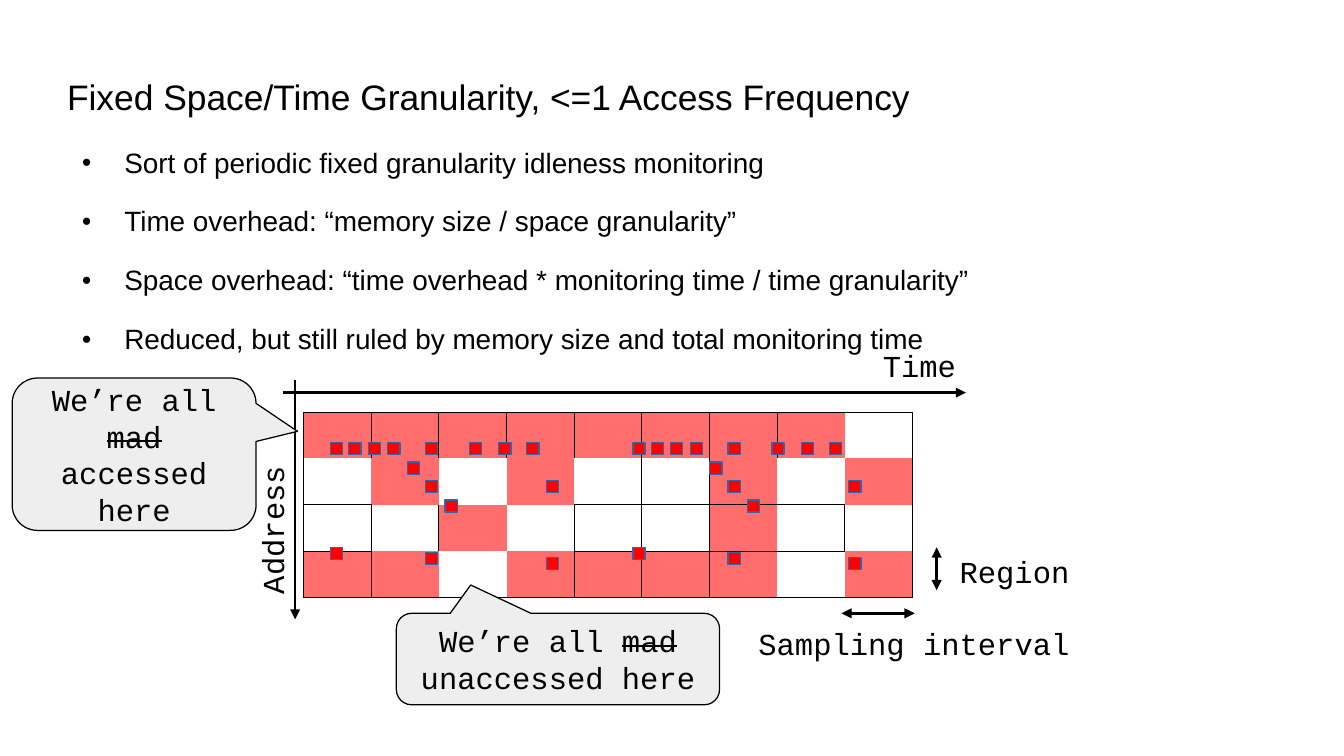
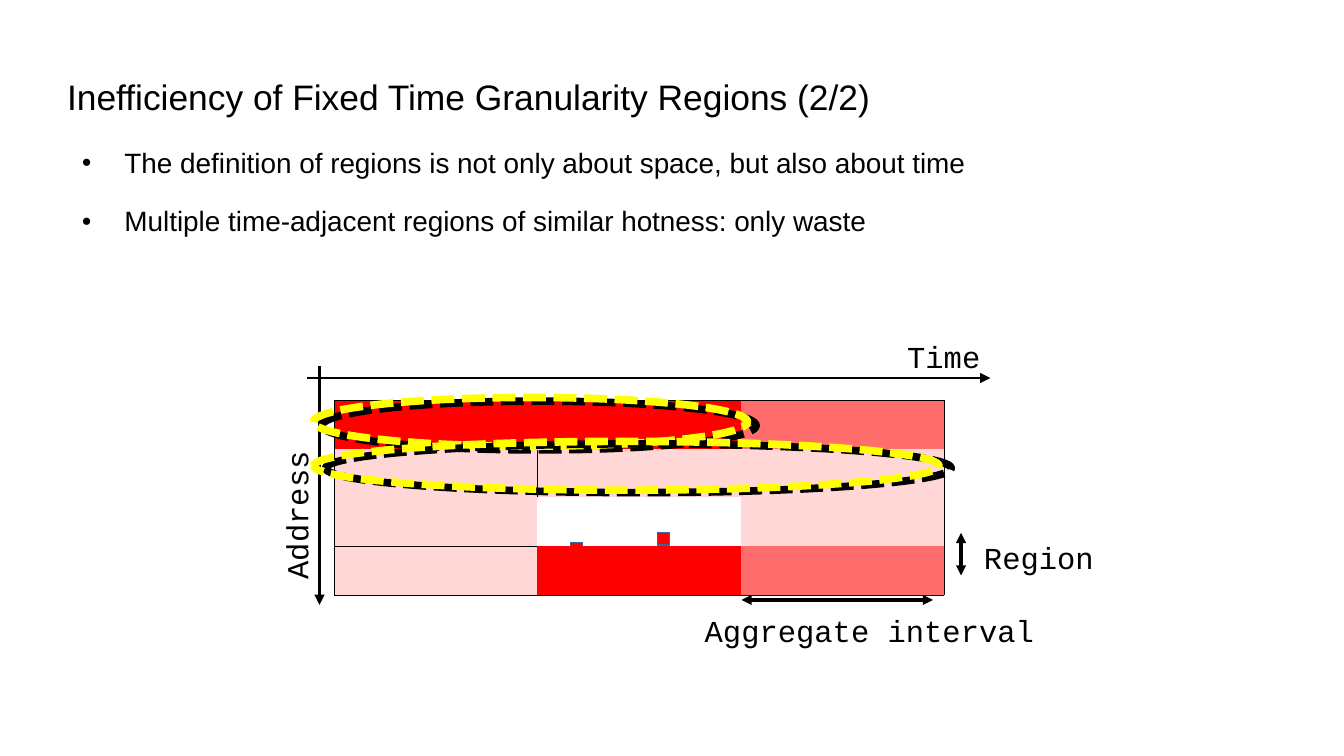
import pptx
import pptx.util
import pptx.dml.color
import pptx.enum.dml
import pptx.enum.shapes
import pptx.enum.text
import pptx.oxml
from lxml import etree

Inches, Pt = pptx.util.Inches, pptx.util.Pt
SHAPE = pptx.enum.shapes.MSO_SHAPE
ANCHOR = pptx.enum.text.MSO_ANCHOR
ALIGN = pptx.enum.text.PP_ALIGN
qn = pptx.oxml.ns.qn

# Shared colours and fonts
BLACK, RED, YELLOW, GREY, BLUE = "000000", "FF0000", "FFFF00", "EEEEEE", "3465A4"
HEAT = {"X": RED, "R": "FF6D6D", "P": "FFD7D7", ".": None}
SANS, MONO = "Arial", "Courier New"
BORDERS = {"l": "a:lnL", "r": "a:lnR", "t": "a:lnT", "b": "a:lnB"}

# Memory accesses (x, y); the pattern repeats once after PERIOD
PERIOD = 2.48
ACCESSES = [(x, 3.63) for x in (2.71, 2.86, 3.02, 3.18, 3.49, 3.85, 4.09, 4.32)]
ACCESSES += [(2.71, 4.49), (3.34, 3.79), (3.49, 3.94), (3.65, 4.1),
             (3.49, 4.53), (4.48, 4.57), (4.48, 3.94)]

# Slide contents; dx, dy move the diagram. A table cell is a heat letter
# followed by its border sides; a bare letter has all four sides.
SLIDES = [
    dict(title="Fixed Space/Time Granularity, <=1 Access Frequency",
         bullets=["Sort of periodic fixed granularity idleness monitoring",
                  "Time overhead: “memory size / space granularity”",
                  "Space overhead: “time overhead * monitoring time / time granularity”",
                  "Reduced, but still ruled by memory size and total monitoring time"],
         dx=0, dy=0, time_top=2.8, order=("table", "accesses"),
         interval=("Sampling interval", 6.12, 5.08, 2.75), span=(6.9, 7.5, 5.03),
         table=(2.49, 3.38, 4.99, 1.52),
         rows=["R R R R R R R R .tr",
               ".lb Rlrb .- Rlrb .rb .lb Rlrb .b R",
               ".ltr .l R .r .ltr .lt R .trb .lr",
               "R R .b R R Rltb R .tb R"],
         callouts=[("We’re all ~mad~ accessed here", (0.1, 3.1, 2, 1.25), (0.67, -0.15)),
                   ("We’re all ~mad~ unaccessed here", (3.25, 5.03, 2.65, 0.75), (-0.27, -0.81))],
         rings=[]),
    dict(title="Inefficiency of Fixed Time Granularity Regions (2/2)",
         bullets=["The definition of regions is not only about space, but also about time",
                  "Multiple time-adjacent regions of similar hotness: only waste"],
         dx=0.2, dy=-0.12, time_top=2.72, order=("accesses", "table"),
         interval=("Aggregate interval", 5.68, 4.97, 2.9), span=(6.08, 7.65, 4.92),
         table=(2.74, 3.28, 5, 1.6),
         rows=["X Xtb R", "Plrb Plrb Prb", "Plrb .- Plr", "P Xtrb Rtrb"],
         callouts=[],
         rings=[[(2.64, 3.29, 3.56, BLACK), (2.57, 3.26, 3.56, YELLOW)],
                [(2.67, 3.64, 5.13, BLACK), (2.57, 3.62, 5.13, YELLOW)]]),
]


def paint(fill, color):
    """Solid fill from a hex string, or no fill for None."""
    if color is None:
        fill.background()
    else:
        fill.solid()
        fill.fore_color.rgb = pptx.dml.color.RGBColor.from_string(color)


def text(tf, content, size=18, font=MONO, color=BLACK, align=ALIGN.LEFT,
         before=0, bullet=None):
    """Add a paragraph; parts between ~ marks are struck through."""
    p = tf.paragraphs[0]
    if p.runs:
        p = tf.add_paragraph()
    p.alignment, p.space_before = align, Pt(before)
    if bullet:
        pPr = p._p.get_or_add_pPr()
        pPr.set("marL", str(Inches(0.47)))
        pPr.set("indent", str(Inches(-0.35)))
        etree.SubElement(pPr, qn("a:buSzPct")).set("val", "60000")
        etree.SubElement(pPr, qn("a:buFont")).set("typeface", font)
        etree.SubElement(pPr, qn("a:buChar")).set("char", bullet)
    for i, part in enumerate(content.split("~")):
        r = p.add_run()
        r.text = part
        r.font.size, r.font.name = Pt(size), font
        paint(r.font.fill, color)
        if i % 2:
            r.font._element.set("strike", "sngStrike")


prs = pptx.Presentation()
prs.slide_width, prs.slide_height = Inches(11.02), Inches(6.2)

for d in SLIDES:
    s = prs.slides.add_slide(prs.slide_layouts[6])
    dx, dy = d["dx"], d["dy"]

    # Title and bullets
    for top, height, anchor, lines, fmt in (
            (0.54, 0.5, ANCHOR.MIDDLE, [d["title"]], dict(size=20.9)),
            (1.19, 4.36, ANCHOR.TOP, d["bullets"], dict(size=16.5, before=15, bullet="●"))):
        tf = s.shapes.add_textbox(Inches(0.55), Inches(top), Inches(9.92), Inches(height)).text_frame
        tf.word_wrap, tf.vertical_anchor = True, anchor
        tf.margin_left = tf.margin_right = tf.margin_top = tf.margin_bottom = 0
        for line in lines:
            text(tf, line, font=SANS, **fmt)

    # Axes and dimension arrows
    x1, x2, y = d["span"]
    for ax, ay, bx, by, width, ends in (
            (2.42 + dx, 3.12 + dy, 2.42 + dx, 5.08 + dy, 1.5, ["a:tailEnd"]),
            (2.32 + dx, 3.22 + dy, 7.92 + dx, 3.22 + dy, 1.5, ["a:tailEnd"]),
            (7.68 + dx, 4.49 + dy, 7.68 + dx, 4.84 + dy, 0, ["a:headEnd", "a:tailEnd"]),
            (x1, y, x2, y, 0, ["a:headEnd", "a:tailEnd"])):
        c = s.shapes.add_connector(pptx.enum.shapes.MSO_CONNECTOR.STRAIGHT,
                                   Inches(ax), Inches(ay), Inches(bx), Inches(by))
        paint(c.line.fill, BLACK)
        c.line.width = Pt(width)
        for end in ends:
            etree.SubElement(c.line._get_or_add_ln(), qn(end)).set("type", "triangle")
        etree.SubElement(c._element.spPr, qn("a:effectLst"))

    # Diagram labels
    for label, x, y, w, h, turn in (
            ("Time", 7.14 + dx, d["time_top"], 0.8, 0.38, 0),
            ("Address", 1.68 + dx, 3.95 + dy, 1.37, 0.67, 270),
            ("Region", 7.77 + dx, 4.49 + dy, 1.1, 0.38, 0),
            (*d["interval"], 0.38, 0)):
        tb = s.shapes.add_textbox(Inches(x), Inches(y), Inches(w), Inches(h))
        tb.rotation = turn
        tb.text_frame.word_wrap = turn != 0
        text(tb.text_frame, label)

    for part in d["order"]:
        if part == "accesses":
            # Access marks
            for shift in (0, PERIOD):
                for x, y in ACCESSES:
                    sp = s.shapes.add_shape(SHAPE.RECTANGLE, Inches(x + shift + dx), Inches(y + dy),
                                            Inches(0.1), Inches(0.1))
                    sp.shadow.inherit = False
                    paint(sp.fill, RED)
                    paint(sp.line.fill, BLUE)
                    sp.line.width = Pt(0)
        else:
            # Heat table
            grid = [row.split() for row in d["rows"]]
            tbl = s.shapes.add_table(len(grid), len(grid[0]), *map(Inches, d["table"])).table
            tbl.first_row = tbl.horz_banding = False
            for i, row in enumerate(grid):
                for j, code in enumerate(row):
                    cell = tbl.cell(i, j)
                    cell.margin_top = cell.margin_bottom = 0
                    sides = code[1:] or "lrtb"
                    tcPr = cell._tc.get_or_add_tcPr()
                    for side, tag in BORDERS.items():
                        ln = etree.SubElement(tcPr, qn(tag))
                        if side in sides:
                            ln.set("w", str(Pt(0.57)))
                            fill = etree.SubElement(ln, qn("a:solidFill"))
                            etree.SubElement(fill, qn("a:srgbClr")).set("val", BLACK)
                        else:
                            etree.SubElement(ln, qn("a:noFill"))
                    paint(cell.fill, HEAT[code[0]])

    # Callouts
    for content, box, tip in d["callouts"]:
        sp = s.shapes.add_shape(SHAPE.ROUNDED_RECTANGULAR_CALLOUT, *map(Inches, box))
        sp.adjustments[0], sp.adjustments[1] = tip
        sp.shadow.inherit = False
        paint(sp.fill, GREY)
        paint(sp.line.fill, BLACK)
        sp.line.width = Pt(0)
        sp.text_frame.word_wrap = True
        sp.text_frame.vertical_anchor = ANCHOR.MIDDLE
        text(sp.text_frame, content, align=ALIGN.CENTER)

    # Dashed rings around similar regions
    for ring in d["rings"]:
        group = s.shapes.add_group_shape()
        for x, y, w, color in ring:
            sp = group.shapes.add_shape(SHAPE.OVAL, Inches(x), Inches(y), Inches(w), Inches(0.4))
            sp.shadow.inherit = False
            paint(sp.fill, None)
            paint(sp.line.fill, color)
            sp.line.width = Pt(4.5)
            # SQUARE_DOT is the sysDash preset's neighbour, so name it directly
            etree.SubElement(sp.line._get_or_add_ln(), qn("a:prstDash")).set("val", "sysDash")

prs.save("out.pptx")
